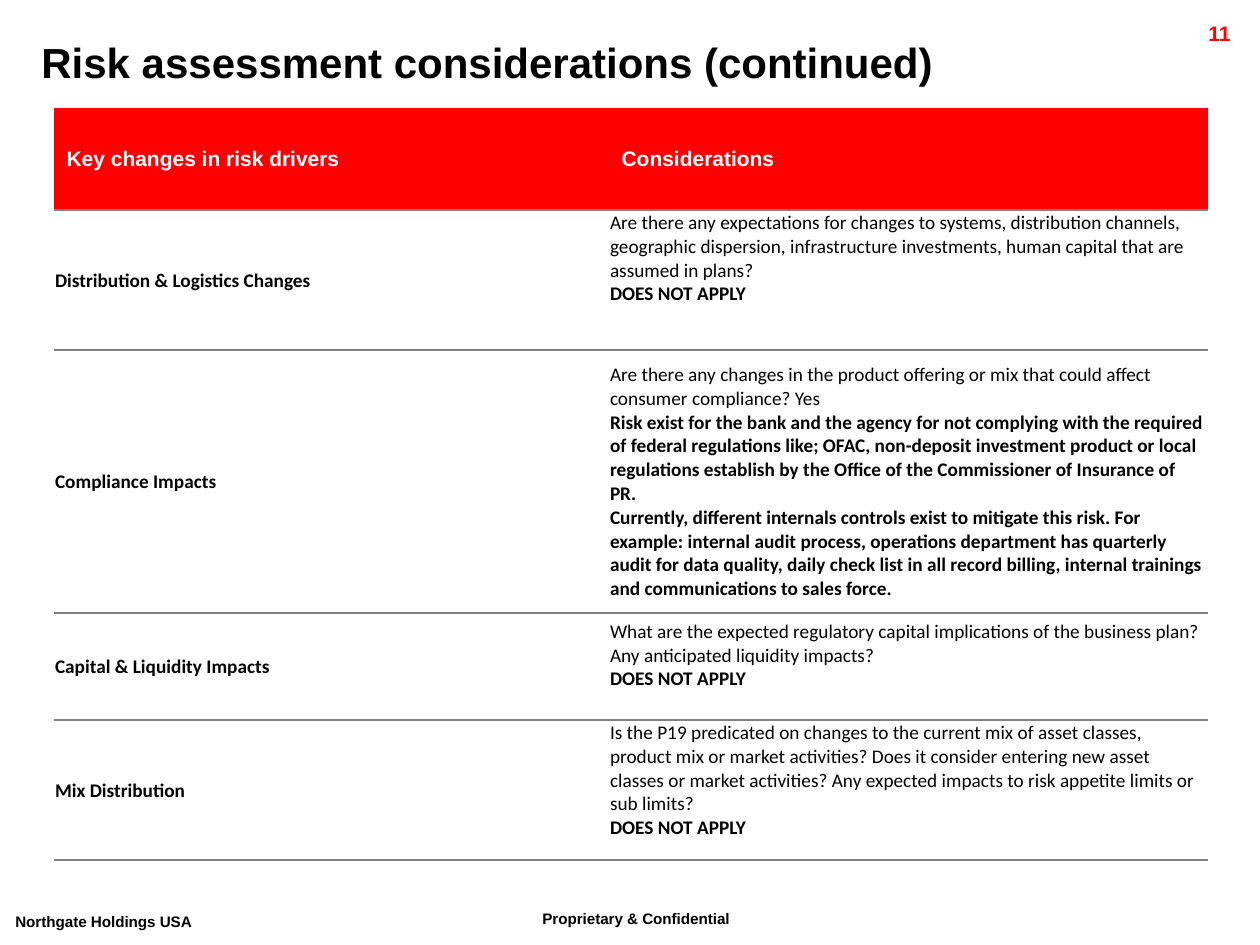
from lxml import etree
from pptx import Presentation
from pptx import util as u
from pptx.dml.color import RGBColor
from pptx.enum import text
from pptx.oxml.ns import qn

PX_PER_INCH = 126
COLORS = {"red": "FF0000", "black": "000000", "white": "FFFFFF", "grey": "808080"}

HEADERS = ["Key changes in risk drivers", "Considerations"]
NOT_APPLICABLE = ("DOES NOT APPLY", True)
# Risk driver, (paragraph, bold) considerations, space below the considerations
DRIVERS = [
    ("Distribution & Logistics Changes", [
        ("Are there any expectations for changes to systems, distribution channels, "
         "geographic dispersion, infrastructure investments, human capital that are "
         "assumed in plans?", False),
        NOT_APPLICABLE], 44),
    ("Compliance Impacts", [
        ("Are there any changes in the product offering or mix that could affect "
         "consumer compliance? Yes", False),
        ("Risk exist for the bank and the agency for not complying with the required "
         "of federal regulations like; OFAC, non-deposit investment product or local "
         "regulations establish by the Office of the Commissioner of Insurance of PR.", True),
        ("Currently, different internals controls exist to mitigate this risk. For "
         "example: internal audit process, operations department has quarterly audit "
         "for data quality, daily check list in all record billing, internal trainings "
         "and communications to sales force.", True)], 0),
    ("Capital & Liquidity Impacts", [
        ("What are the expected regulatory capital implications of the business plan? "
         "Any anticipated liquidity impacts?", False),
        NOT_APPLICABLE], 23),
    ("Mix Distribution", [
        ("Is the P19 predicated on changes to the current mix of asset classes, product "
         "mix or market activities? Does it consider entering new asset classes or "
         "market activities? Any expected impacts to risk appetite limits or sub "
         "limits?", False),
        NOT_APPLICABLE], 20),
]
COLUMN_WIDTHS = [555, 599]
ROW_HEIGHTS = [102, 140, 263, 107, 140]


def px(length):
    return u.Emu(round(length * 914400 / PX_PER_INCH))


def add_run(paragraph, words, size, color, font="Arial", bold=True):
    run = paragraph.add_run()
    run.text = words
    run.font.name, run.font.size, run.font.bold = font, u.Pt(size), bold
    run.font.color.rgb = RGBColor.from_string(COLORS[color])
    return run


def add_label(slide, box, words, size, color="black", align=text.PP_ALIGN.LEFT, wrap=True):
    shape = slide.shapes.add_textbox(*map(px, box))
    shape.text_frame.word_wrap = wrap
    paragraph = shape.text_frame.paragraphs[0]
    paragraph.alignment = align
    return add_run(paragraph, words, size, color)


def set_borders(cell, edges):
    """Draw grey lines on the given edges (T, B) and none on the others."""
    properties = cell._tc.get_or_add_tcPr()
    for index, edge in enumerate("LRTB"):
        line = etree.Element(qn(f"a:ln{edge}"), w=str(u.Pt(1)))
        if edge in edges:
            fill = etree.SubElement(line, qn("a:solidFill"))
            etree.SubElement(fill, qn("a:srgbClr"), val=COLORS["grey"])
        else:
            etree.SubElement(line, qn("a:noFill"))
        properties.insert(index, line)


def fill_cell(cell, paragraphs, size, color, font, fill, edges):
    cell.vertical_anchor = text.MSO_ANCHOR.MIDDLE
    if fill:
        cell.fill.solid()
        cell.fill.fore_color.rgb = RGBColor.from_string(COLORS[fill])
    else:
        cell.fill.background()
    set_borders(cell, edges)
    frame = cell.text_frame
    for index, (words, bold) in enumerate(paragraphs):
        paragraph = frame.add_paragraph() if index else frame.paragraphs[0]
        add_run(paragraph, words, size, color, font, bold)


def add_risk_table(slide, left, top):
    box = (left, top, sum(COLUMN_WIDTHS), sum(ROW_HEIGHTS))
    table = slide.shapes.add_table(len(ROW_HEIGHTS), len(COLUMN_WIDTHS), *map(px, box)).table
    table.horz_banding = False
    for column, width in zip(table.columns, COLUMN_WIDTHS):
        column.width = px(width)
    for row, height in zip(table.rows, ROW_HEIGHTS):
        row.height = px(height)

    # Header row
    for index, words in enumerate(HEADERS):
        fill_cell(table.cell(0, index), [(words, True)], 12, "white", "Arial", "red", "B")

    # One row for each risk driver
    for row, (driver, considerations, space_below) in enumerate(DRIVERS, start=1):
        columns = [([(driver, True)], 0), (considerations, space_below)]
        for index, (paragraphs, bottom) in enumerate(columns):
            cell = table.cell(row, index)
            cell.margin_left = cell.margin_right = cell.margin_top = px(1)
            cell.margin_bottom = px(bottom)
            fill_cell(cell, paragraphs, 11, "black", "Calibri", None, "TB")


def add_heading(slide, left, top):
    add_label(slide, (left, top, 1237, 63), "Risk assessment considerations (continued)", 24)
    add_label(slide, (left + 1094, top - 16, 120, 30), "11", 12, "red", text.PP_ALIGN.RIGHT)


def add_footer(slide, left, top):
    notes = [
        add_label(slide, (left + 527, top, 275, 44), "Proprietary & Confidential", 15),
        add_label(slide, (left, top + 3, 241, 44), "Northgate Holdings USA", 15, wrap=False),
    ]
    for run in notes:  # raised text
        run._r.get_or_add_rPr().set("baseline", "30000")


def main():
    presentation = Presentation()
    presentation.slide_width, presentation.slide_height = px(1260), px(945)
    slide = presentation.slides.add_slide(presentation.slide_layouts[6])
    add_footer(slide, 3, 900)
    add_heading(slide, 29, 30)
    add_risk_table(slide, 54, 108)
    presentation.save("out.pptx")


if __name__ == "__main__":
    main()
